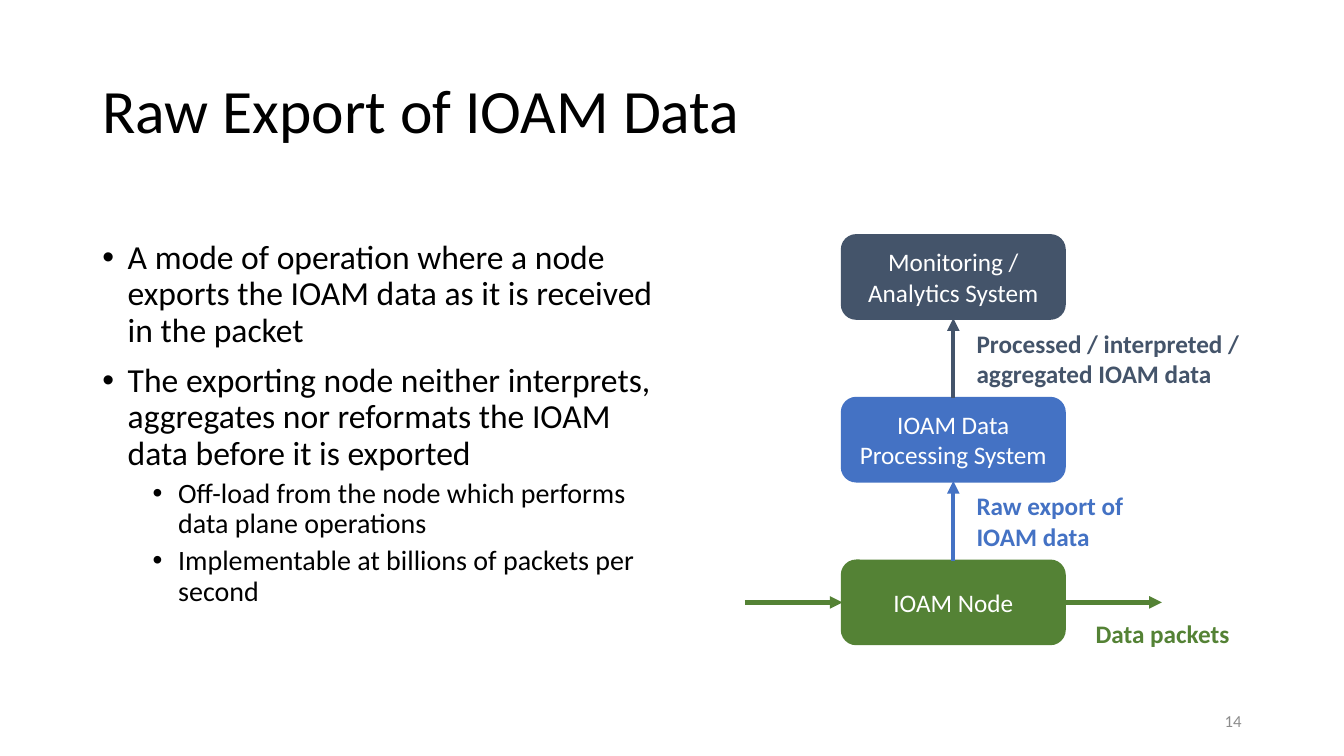
"""Build the slide on raw export of IOAM data."""
from dataclasses import dataclass
from typing import Any

from lxml import etree
from pptx import Presentation
from pptx.dml.color import RGBColor
from pptx.enum.dml import MSO_LINE_DASH_STYLE
from pptx.enum.shapes import MSO_CONNECTOR, MSO_SHAPE
from pptx.enum.text import MSO_ANCHOR, MSO_AUTO_SIZE, PP_ALIGN
from pptx.oxml.ns import qn
from pptx.shapes.autoshape import Shape
from pptx.slide import Slide
from pptx.util import Cm, Pt

SOLID = MSO_LINE_DASH_STYLE.SOLID
STRAIGHT = MSO_CONNECTOR.STRAIGHT
ROUNDED = MSO_SHAPE.ROUNDED_RECTANGLE
TOP, MIDDLE = MSO_ANCHOR.TOP, MSO_ANCHOR.MIDDLE
LEFT, CENTER, RIGHT = PP_ALIGN.LEFT, PP_ALIGN.CENTER, PP_ALIGN.RIGHT
FIT_SHAPE, NO_FIT = MSO_AUTO_SIZE.SHAPE_TO_FIT_TEXT, MSO_AUTO_SIZE.NONE
SIDE_TOP, SIDE_LEFT, SIDE_BOTTOM, SIDE_RIGHT = range(4)


@dataclass(frozen=True)
class Theme:
    """Colours, font and type sizes of the slide."""
    font: str = "Calibri"
    ink: str = "000000"
    paper: str = "FFFFFF"
    muted: str = "8C8C8C"
    node: str = "548235"
    processing: str = "4472C4"
    analytics: str = "44546A"
    title: int = 44
    point: int = 24
    subpoint: int = 20
    diagram: int = 18
    number: int = 12
    outline: float = 2.25
    arrow: int = 3


@dataclass(frozen=True)
class Caption:
    """A piece of text in its own frame, in centimetres."""
    left: float
    top: float
    width: float
    height: float
    lines: tuple[str, ...]
    size: int
    color: str
    bold: bool = False
    align: PP_ALIGN = LEFT
    anchor: MSO_ANCHOR = TOP
    wrap: bool = True
    spacing: float = 1.0


@dataclass(frozen=True)
class Stage:
    """One system in the export chain."""
    name: str
    color: str


@dataclass(frozen=True)
class Anchor:
    """An arrow end, on the side of a stage or free at x, y."""
    stage: str = ""
    side: int = SIDE_TOP
    x: float = 0
    y: float = 0


@dataclass(frozen=True)
class Flow:
    """An arrow between two anchors."""
    start: Anchor
    end: Anchor
    color: str


THEME = Theme()
STAGE_LEFT, STAGE_TOP, STAGE_WIDTH, STAGE_HEIGHT, STAGE_PITCH = 21.23, 5.94, 5.59, 2.08, 4.1
PACKET_RUN = 2.46
ANALYTICS = Stage("Monitoring / Analytics System", THEME.analytics)
PROCESSING = Stage("IOAM Data Processing System", THEME.processing)
NODE = Stage("IOAM Node", THEME.node)
STAGES = (ANALYTICS, PROCESSING, NODE)
PACKET_Y = STAGE_TOP + 2 * STAGE_PITCH + STAGE_HEIGHT / 2

FLOWS = (
    Flow(Anchor(x=STAGE_LEFT - PACKET_RUN, y=PACKET_Y), Anchor(NODE.name, SIDE_LEFT), NODE.color),
    Flow(Anchor(NODE.name, SIDE_RIGHT),
         Anchor(x=STAGE_LEFT + STAGE_WIDTH + PACKET_RUN, y=PACKET_Y), NODE.color),
    Flow(Anchor(PROCESSING.name), Anchor(ANALYTICS.name, SIDE_BOTTOM), ANALYTICS.color),
    Flow(Anchor(NODE.name), Anchor(PROCESSING.name, SIDE_BOTTOM), PROCESSING.color),
)

CAPTIONS = (
    Caption(2.33, 1.01, 29.21, 3.68, ("Raw Export of IOAM Data",), THEME.title, THEME.ink,
            anchor=MIDDLE, spacing=0.9),
    Caption(27.36, 15.46, 3.91, 1.02, ("Data packets",), THEME.diagram, NODE.color,
            bold=True, wrap=False),
    Caption(24.36, 12.24, 4.24, 1.8, ("Raw export of", "IOAM data"), THEME.diagram,
            PROCESSING.color, bold=True, wrap=False),
    Caption(24.36, 8.14, 7.19, 1.8, ("Processed / interpreted /", "aggregated IOAM data"),
            THEME.diagram, ANALYTICS.color, bold=True, wrap=False),
    Caption(23.92, 17.65, 7.62, 1.02, ("14",), THEME.number, THEME.muted,
            align=RIGHT, anchor=MIDDLE),
)

POINTS = (
    (0, "A mode of operation where a node exports the IOAM data as it is received in the packet"),
    (0, "The exporting node neither interprets, aggregates nor reformats the IOAM data "
        "before it is exported"),
    (1, "Off-load from the node which performs data plane operations"),
    (1, "Implementable at billions of packets per second"),
)
POINT_FORMATS = (
    {"size": THEME.point, "before": 10, "indent": 0.64},
    {"size": THEME.subpoint, "before": 5, "indent": 1.91},
)
HANGING = 0.64


def apply(target: Any, formats: dict[str, Any]) -> None:
    """Set every named attribute on the target."""
    for name, value in formats.items():
        setattr(target, name, value)


def write(shape: Shape, lines: tuple[str, ...], size: int, color: str, bold: bool = False,
          **paragraph_format: Any) -> None:
    """Write each line as a paragraph in the theme font."""
    frame = shape.text_frame
    frame.text = "\n".join(lines)
    for paragraph in frame.paragraphs:
        apply(paragraph, paragraph_format)
        font = paragraph.runs[0].font
        apply(font, {"name": THEME.font, "size": Pt(size), "bold": bold})
        font.color.rgb = RGBColor.from_string(color)


def draw_caption(slide: Slide, caption: Caption) -> None:
    """Draw one caption."""
    box = slide.shapes.add_textbox(Cm(caption.left), Cm(caption.top),
                                   Cm(caption.width), Cm(caption.height))
    write(box, caption.lines, caption.size, caption.color, caption.bold,
          alignment=caption.align, line_spacing=caption.spacing)
    apply(box.text_frame, {"word_wrap": caption.wrap, "vertical_anchor": caption.anchor,
                           "auto_size": NO_FIT if caption.wrap else FIT_SHAPE})


def draw_points(slide: Slide) -> None:
    """Draw the bulleted points on the left."""
    box = slide.shapes.add_textbox(Cm(2.33), Cm(5.94), Cm(14.86), Cm(11.23))
    box.text_frame.word_wrap = True
    write(box, tuple(text for _, text in POINTS), THEME.point, THEME.ink, line_spacing=0.9)
    for paragraph, (level, _) in zip(box.text_frame.paragraphs, POINTS):
        style = POINT_FORMATS[level]
        apply(paragraph, {"level": level, "space_before": Pt(style["before"])})
        paragraph.runs[0].font.size = Pt(style["size"])
        properties = paragraph._p.get_or_add_pPr()
        properties.set("marL", str(Cm(style["indent"])))
        properties.set("indent", str(-Cm(HANGING)))
        etree.SubElement(properties, qn("a:buFont"), typeface="Arial")
        etree.SubElement(properties, qn("a:buChar"), char="•")


def draw_stage(slide: Slide, stage: Stage, row: int) -> Shape:
    """Draw one stage of the chain in its row."""
    box = slide.shapes.add_shape(ROUNDED, Cm(STAGE_LEFT), Cm(STAGE_TOP + row * STAGE_PITCH),
                                 Cm(STAGE_WIDTH), Cm(STAGE_HEIGHT))
    box.shadow.inherit = False
    for fill in (box.fill, box.line.fill):
        fill.solid()
        fill.fore_color.rgb = RGBColor.from_string(stage.color)
    box.line.width = Pt(THEME.outline)
    write(box, (stage.name,), THEME.diagram, THEME.paper, alignment=CENTER)
    apply(box.text_frame, {"word_wrap": True, "vertical_anchor": MIDDLE})
    return box


def draw_flow(slide: Slide, flow: Flow, stages: dict[str, Shape]) -> None:
    """Draw one arrow and join it to its stages."""
    arrow = slide.shapes.add_connector(STRAIGHT, Cm(flow.start.x), Cm(flow.start.y),
                                       Cm(flow.end.x), Cm(flow.end.y))
    for anchor, connect in ((flow.start, arrow.begin_connect), (flow.end, arrow.end_connect)):
        if anchor.stage:
            connect(stages[anchor.stage], anchor.side)
    arrow.line.color.rgb = RGBColor.from_string(flow.color)
    apply(arrow.line, {"width": Pt(THEME.arrow), "dash_style": SOLID})
    etree.SubElement(arrow.line._get_or_add_ln(), qn("a:tailEnd"), type="triangle")
    etree.SubElement(arrow._element.spPr, qn("a:effectLst"))


def main() -> None:
    """Build and save the slide."""
    deck = Presentation()
    apply(deck, {"slide_width": Cm(33.87), "slide_height": Cm(19.05)})
    slide = deck.slides.add_slide(deck.slide_layouts[6])
    draw_points(slide)
    stages = {stage.name: draw_stage(slide, stage, row) for row, stage in enumerate(STAGES)}
    for flow in FLOWS:
        draw_flow(slide, flow, stages)
    for caption in CAPTIONS:
        draw_caption(slide, caption)
    deck.save("out.pptx")


if __name__ == "__main__":
    main()
